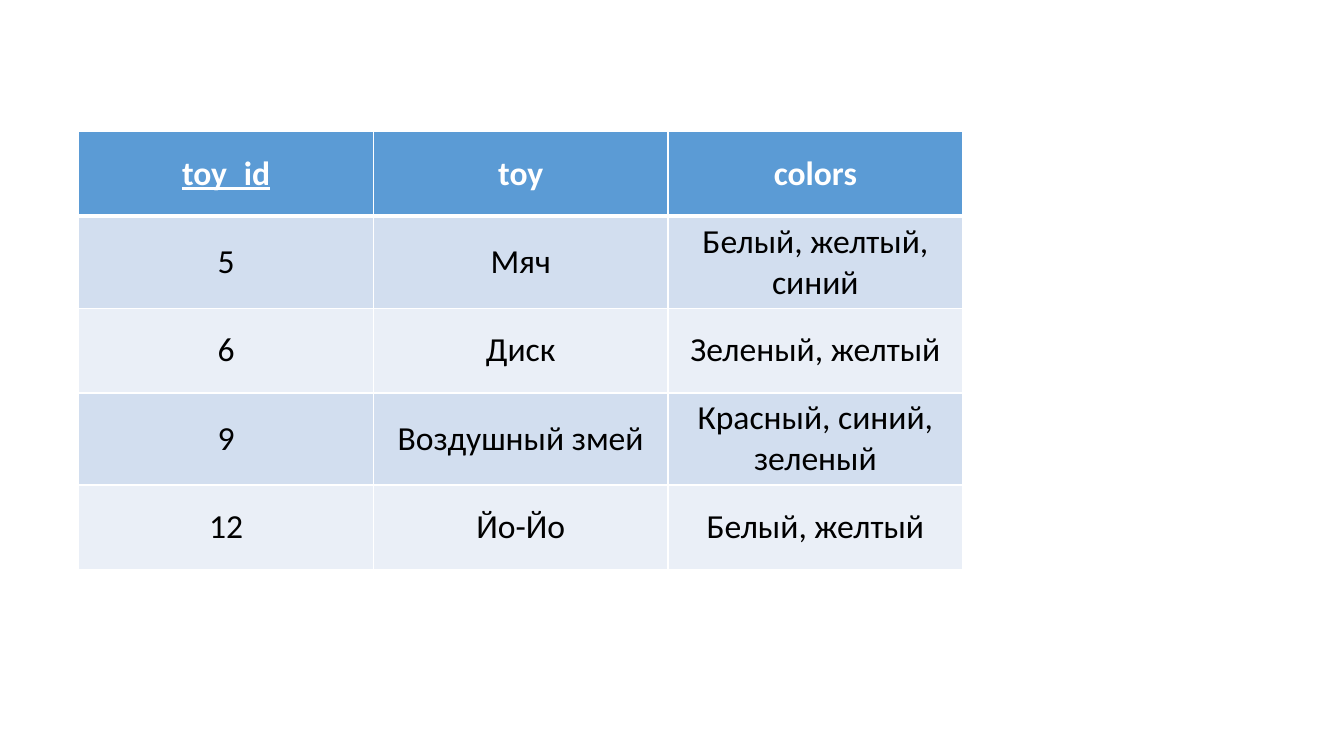
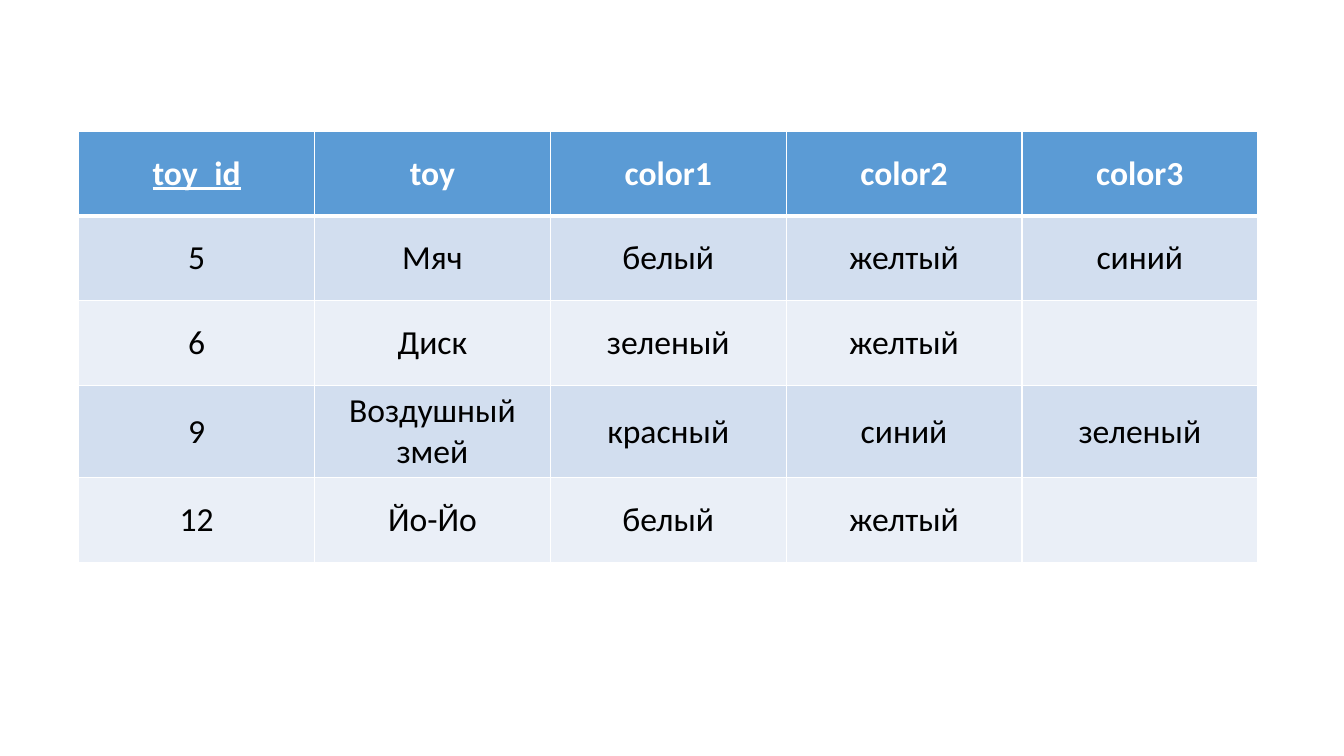
from dataclasses import dataclass

from lxml import etree
from pptx import Presentation
from pptx.dml.color import RGBColor
from pptx.enum.text import MSO_ANCHOR, PP_ALIGN
from pptx.oxml.ns import qn
from pptx.util import Emu, Pt

CENTER = PP_ALIGN.CENTER
MIDDLE = MSO_ANCHOR.MIDDLE
BLANK_LAYOUT = 6
EMU_PER_PX = 9525


@dataclass(frozen=True)
class Theme:
    font: str = "Calibri"
    text_size: int = 24
    header_fill: str = "5B9BD5"
    header_text: str = "FFFFFF"
    band_fills: tuple = ("D2DEEF", "EAEFF7")
    body_text: str = "000000"
    border: str = "FFFFFF"
    thin: int = 1
    thick: int = 3


THEME = Theme()

# Table contents: the first row is the header, the first column is the key
LISTED_COLORS = (
    ("toy_id", "toy", "colors"),
    ("5", "Мяч", "Белый, желтый, синий"),
    ("6", "Диск", "Зеленый, желтый"),
    ("9", "Воздушный змей", "Красный, синий, зеленый"),
    ("12", "Йо-Йо", "Белый, желтый"),
)
COLOR_COLUMNS = (
    ("toy_id", "toy", "color1", "color2", "color3"),
    ("5", "Мяч", "белый", "желтый", "синий"),
    ("6", "Диск", "зеленый", "желтый", ""),
    ("9", "Воздушный змей", "красный", "синий", "зеленый"),
    ("12", "Йо-Йо", "белый", "желтый", ""),
)


def px(length):
    return Emu(int(length * EMU_PER_PX))


def set_borders(cell, top, bottom):
    properties = cell._tc.get_or_add_tcPr()
    widths = {"lnL": THEME.thin, "lnR": THEME.thin, "lnT": top, "lnB": bottom}
    for tag, width in widths.items():
        line = etree.SubElement(properties, qn(f"a:{tag}"), w=str(Pt(width)))
        fill = etree.SubElement(line, qn("a:solidFill"))
        etree.SubElement(fill, qn("a:srgbClr"), val=THEME.border)


def format_cell(cell, text, row, column):
    is_header = row == 0
    # Borders: a thick rule separates the header from the body
    set_borders(
        cell,
        top=THEME.thick if row == 1 else THEME.thin,
        bottom=THEME.thick if is_header else THEME.thin,
    )
    # Banded fill
    band = THEME.band_fills[(row - 1) % len(THEME.band_fills)]
    cell.fill.solid()
    cell.fill.fore_color.rgb = RGBColor.from_string(THEME.header_fill if is_header else band)
    # Text
    cell.vertical_anchor = MIDDLE
    paragraph = cell.text_frame.paragraphs[0]
    paragraph.text = text
    paragraph.alignment = CENTER
    for run in paragraph.runs:
        font = run.font
        font.name = THEME.font
        font.size = Pt(THEME.text_size)
        font.bold = is_header
        font.underline = is_header and column == 0
        font.color.rgb = RGBColor.from_string(THEME.header_text if is_header else THEME.body_text)


def add_table_slide(presentation, rows, left, top, width, height):
    slide = presentation.slides.add_slide(presentation.slide_layouts[BLANK_LAYOUT])
    column_count = len(rows[0])
    table = slide.shapes.add_table(
        len(rows), column_count, px(left), px(top), px(width), px(height)
    ).table
    for table_column in table.columns:
        table_column.width = px(width / column_count)
    for table_row in table.rows:
        table_row.height = px(height / len(rows))
    for row, values in enumerate(rows):
        for column, text in enumerate(values):
            format_cell(table.cell(row, column), text, row, column)


def main():
    presentation = Presentation()
    presentation.slide_width, presentation.slide_height = px(1280), px(720)
    for rows, width in ((LISTED_COLORS, 842), (COLOR_COLUMNS, 1123)):
        add_table_slide(presentation, rows, left=75, top=125, width=width, height=404)
    presentation.save("out.pptx")


if __name__ == "__main__":
    main()
